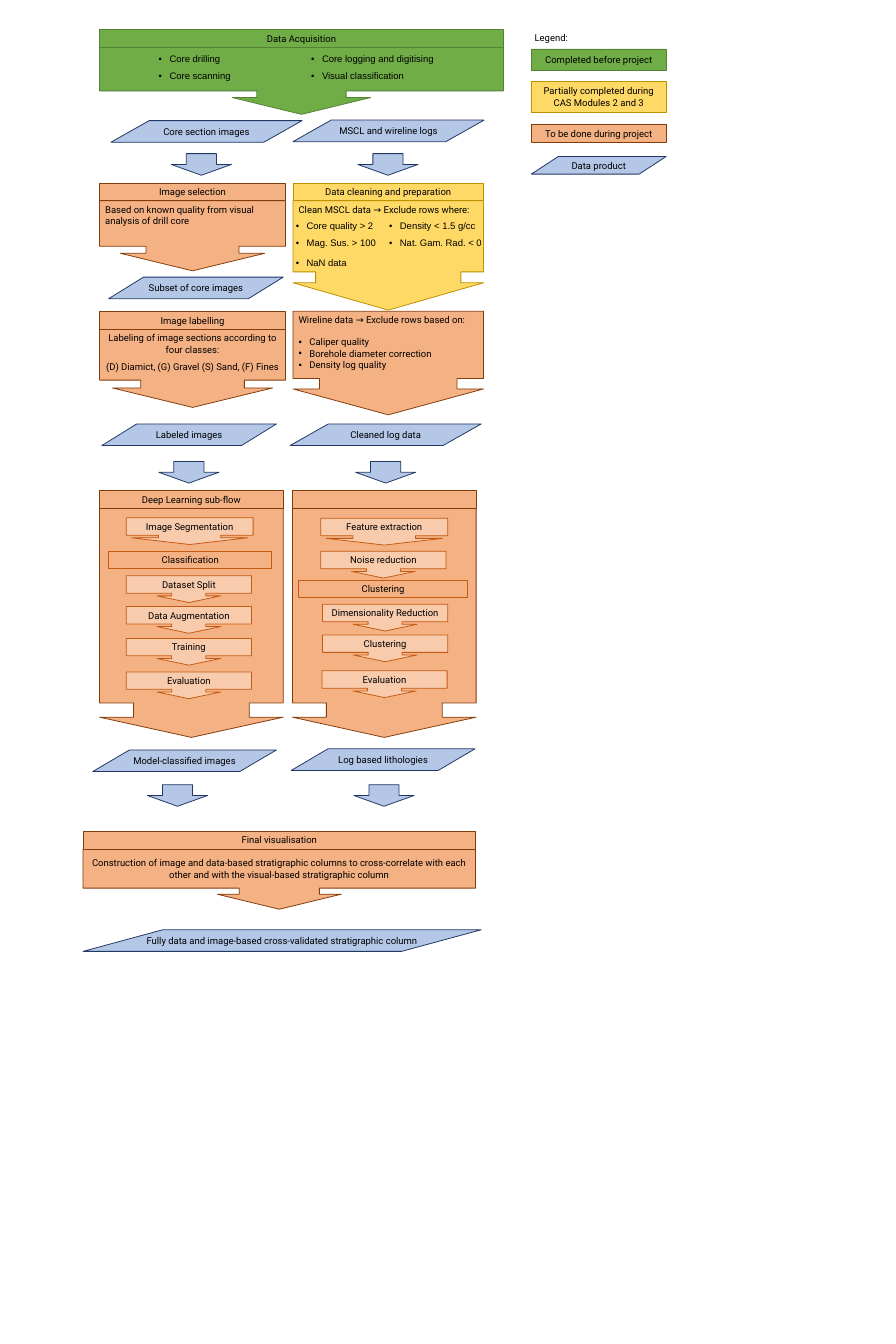
from dataclasses import dataclass
from typing import NamedTuple

from lxml.etree import SubElement
from pptx import Presentation
from pptx.dml.color import RGBColor as RGB
from pptx.enum.shapes import MSO_SHAPE as Form
from pptx.enum.text import MSO_ANCHOR as Anchor, PP_ALIGN as Align
from pptx.oxml.ns import qn
from pptx.util import Inches, Pt


class Tone(NamedTuple):
    fill: str
    line: str


@dataclass(frozen=True)
class Theme:
    done = Tone("70AD47", "548235")
    begun = Tone("FFD966", "BF9000")
    todo = Tone("F4B183", "843C0B")
    data = Tone("B4C7E7", "203864")
    step = Tone("F8CBAD", "C55A11")
    bar = Tone("", "C55A11")
    ink = "000000"
    font = "Roboto"
    list_font = "Arial"
    size = 12
    edge = 1
    head = 0.31
    slant = 0.38
    # Callout arrows: shaft width, head half-width, head length, box height
    wide = (1.33, 1.03, 0.25, 0.65)
    tall = (0.63, 0.7, 0.11, 0.85)
    first = (2.33, 2.17, 0.25, 0.65)
    small = (1.27, 1.19, 0.25, 0.65)


THEME = Theme()


class Box(NamedTuple):
    x: float
    y: float
    w: float
    h: float

    def sub(self, dx, dy, w, h):
        """Box of size w by h, offset from this one's corner."""
        return Box(self.x + dx, self.y + dy, w, h)

    def emu(self):
        return [Inches(n) for n in self]


class Line(NamedTuple):
    text: str
    gap: float = 0
    dot: bool = False


def dot(para):
    """Give a paragraph a hanging round bullet."""
    props = para._p.get_or_add_pPr()
    props.set("marL", str(Inches(0.19)))
    props.set("indent", str(-Inches(0.19)))
    SubElement(props, qn("a:buFont")).set("typeface", "Arial")
    SubElement(props, qn("a:buChar")).set("char", "•")


def write(frame, lines, align=Align.CENTER, font=THEME.font):
    for i, line in enumerate(lines):
        para = frame.add_paragraph() if i else frame.paragraphs[0]
        para.alignment = align
        if line.gap:
            para.space_before = Pt(line.gap)
        if line.dot:
            dot(para)
        run = para.add_run()
        run.text = line.text
        run.font.name = font
        run.font.size = Pt(THEME.size)
        run.font.color.rgb = RGB.from_string(THEME.ink)


def shape(slide, form, box, tone, lines=(), align=Align.CENTER,
          anchor=Anchor.MIDDLE, wrap=True, shaft=()):
    item = slide.shapes.add_shape(form, *box.emu())
    item.shadow.inherit = False
    for i, value in enumerate(shaft):
        item.adjustments[i] = value
    if tone.fill:
        item.fill.solid()
        item.fill.fore_color.rgb = RGB.from_string(tone.fill)
    else:
        item.fill.background()
    item.line.color.rgb = RGB.from_string(tone.line)
    item.line.width = Pt(THEME.edge)
    frame = item.text_frame
    frame.word_wrap = wrap
    frame.vertical_anchor = anchor
    write(frame, lines, align)


def label(slide, box, text, tone):
    shape(slide, Form.RECTANGLE, box, tone, [Line(text)] if text else ())


def product(slide, box, text):
    shape(slide, Form.FLOWCHART_DATA, box, THEME.data, [Line(text)], wrap=False)


def arrow(slide, box, dx, dy):
    shape(slide, Form.DOWN_ARROW, box.sub(dx, dy, 1.06, 0.38), THEME.data)


def stage(slide, box, tone, head, lines=(), align=Align.LEFT,
          anchor=Anchor.TOP, shaft=THEME.wide):
    """Header bar above a callout that points down."""
    top = THEME.head
    shape(slide, Form.DOWN_ARROW_CALLOUT,
          box.sub(0, top, box.w, box.h - top), tone, lines, align, anchor,
          shaft=shaft)
    label(slide, box.sub(0, 0, box.w, top), head, tone)


def points(slide, box, widths, rows):
    """Bulleted items in a table without lines."""
    frame = slide.shapes.add_table(len(rows), len(widths), *box.emu())
    for style in frame.element.iter(qn("a:tableStyleId")):
        style.text = "{2D5ABB26-0587-4C30-8999-92F81FD0307C}"
    table = frame.table
    table.first_row = table.horz_banding = False
    for col, width in zip(table.columns, widths):
        col.width = Inches(width)
    for r, texts in enumerate(rows):
        table.rows[r].height = Inches(box.h / len(rows))
        for c in range(len(widths)):
            cell = table.cell(r, c)
            cell.fill.background()
            cell.vertical_anchor = Anchor.MIDDLE
            if c < len(texts):
                write(cell.text_frame, [Line(texts[c], dot=True)],
                      Align.LEFT, THEME.list_font)


def flow(slide, box, head, steps, bar):
    """Sub-flow of small steps, split by one open bar."""
    stage(slide, box, THEME.todo, head, shaft=THEME.tall)
    for i, (text, dx, dy) in enumerate(steps):
        shape(slide, Form.DOWN_ARROW_CALLOUT,
              box.sub(dx, dy, 2.2 if i else 2.23, 0.47), THEME.step,
              [Line(text)], shaft=THEME.small if i else THEME.first)
    text, dx, dy, width = bar
    label(slide, box.sub(dx, dy, width, 0.3), text, THEME.bar)


def acquire(slide, box):
    stage(slide, box, THEME.done, "Data Acquisition")
    points(slide, box.sub(0.94, 0.37, 5.36, 0.6), (2.68, 2.68), [
        ("Core drilling", "Core logging and digitising"),
        ("Core scanning", "Visual classification")])


def images(slide, box):
    slant = THEME.slant
    product(slide, box.sub(0.2, 0.01, 3.36, slant), "Core section images")
    arrow(slide, box, 1.26, 0.59)
    stage(slide, box.sub(0, 1.11, box.w, 1.54), THEME.todo, "Image selection",
          [Line("Based on known quality from visual analysis of drill core")])
    product(slide, box.sub(0.16, 2.76, 3.07, slant), "Subset of core images")
    stage(slide, box.sub(0, 3.37, box.w, 1.68), THEME.todo, "Image labelling", [
        Line("Labeling of image sections according to four classes:"),
        Line("(D) Diamict, (G) Gravel (S) Sand, (F) Fines", 7)], Align.CENTER)
    product(slide, box.sub(0.04, 5.34, 3.07, slant), "Labeled images")
    arrow(slide, box, 1.04, 6)
    flow(slide, box.sub(0, 6.51, 3.23, 4.34), "Deep Learning sub-flow", [
        ("Image Segmentation", 0.47, 0.48),
        ("Dataset Split", 0.47, 1.5),
        ("Data Augmentation", 0.47, 2.04),
        ("Training", 0.47, 2.6),
        ("Evaluation", 0.47, 3.19)], ("Classification", 0.16, 1.07, 2.87))
    product(slide, box.sub(-0.12, 11.07, 3.23, slant), "Model-classified images")
    arrow(slide, box, 0.84, 11.68)


def logs(slide, box):
    slant = THEME.slant
    product(slide, box.sub(0, 0, 3.36, slant), "MSCL and wireline logs")
    arrow(slide, box, 1.14, 0.59)
    stage(slide, box.sub(0, 1.11, box.w, 2.23), THEME.begun,
          "Data cleaning and preparation",
          [Line("Clean MSCL data → Exclude rows where:")])
    points(slide, box.sub(-0.05, 1.72, 3.48, 0.9), (1.64, 1.84), [
        ("Core quality > 2", "Density < 1.5 g/cc"),
        ("Mag. Sus. > 100", "Nat. Gam. Rad. < 0"),
        ("NaN data",)])
    shape(slide, Form.DOWN_ARROW_CALLOUT, box.sub(0, 3.36, box.w, 1.82),
          THEME.todo, [
              Line("Wireline data → Exclude rows based on:"),
              Line("Caliper quality", 14, True),
              Line("Borehole diameter correction", dot=True),
              Line("Density log quality", dot=True)],
          Align.LEFT, Anchor.TOP, shaft=THEME.wide)
    product(slide, box.sub(-0.05, 5.34, 3.36, slant), "Cleaned log data")
    arrow(slide, box, 1.1, 6)
    flow(slide, box.sub(-0.01, 6.51, 3.23, 4.34), "", [
        ("Feature extraction", 0.5, 0.49),
        ("Noise reduction", 0.5, 1.07),
        ("Dimensionality Reduction", 0.53, 2),
        ("Clustering", 0.53, 2.54),
        ("Evaluation", 0.52, 3.17)], ("Clustering", 0.11, 1.58, 2.97))
    product(slide, box.sub(-0.03, 11.05, 3.23, slant), "Log based lithologies")
    arrow(slide, box, 1.07, 11.68)


def final(slide, box):
    stage(slide, box.sub(0, 0, 6.9, 1.37), THEME.todo, "Final visualisation", [
        Line("Construction of image and data-based stratigraphic columns to "
             "cross-correlate with each other and with the visual-based "
             "stratigraphic column")], Align.CENTER, Anchor.MIDDLE)
    product(slide, box.sub(0, 1.73, box.w, THEME.slant),
            "Fully data and image-based cross-validated stratigraphic column")


def legend(slide, box):
    title = slide.shapes.add_textbox(*box.sub(-0.04, 0, box.w, 0.3).emu())
    title.text_frame.word_wrap = True
    write(title.text_frame, [Line("Legend:")], Align.LEFT)
    for dy, high, text, tone in (
            (0.34, 0.37, "Completed before project", THEME.done),
            (0.91, 0.54, "Partially completed during CAS Modules 2 and 3", THEME.begun),
            (1.67, 0.31, "To be done during project", THEME.todo)):
        label(slide, box.sub(0, dy, box.w, high), text, tone)
    product(slide, box.sub(0, 2.23, box.w, 0.31), "Data product")


def main():
    deck = Presentation()
    deck.slide_width, deck.slide_height = Inches(15.75), Inches(23.62)
    slide = deck.slides.add_slide(deck.slide_layouts[6])
    acquire(slide, Box(1.75, 0.52, 7.1, 1.49))
    images(slide, Box(1.75, 2.11, 3.27, 12.06))
    logs(slide, Box(5.15, 2.11, 3.35, 12.06))
    final(slide, Box(1.46, 14.61, 7, 2.11))
    legend(slide, Box(9.34, 0.52, 2.37, 2.54))
    deck.save("out.pptx")


if __name__ == "__main__":
    main()
